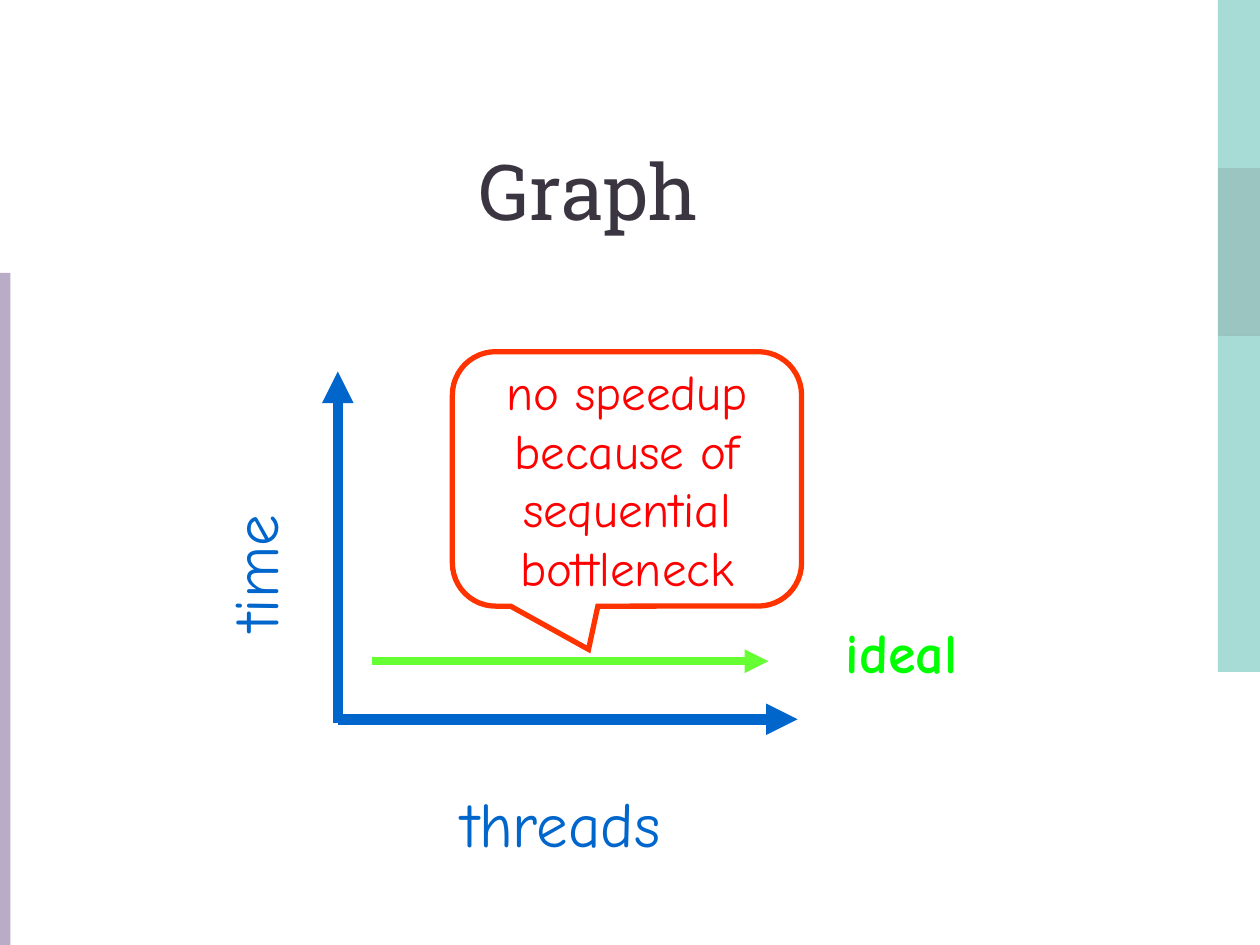
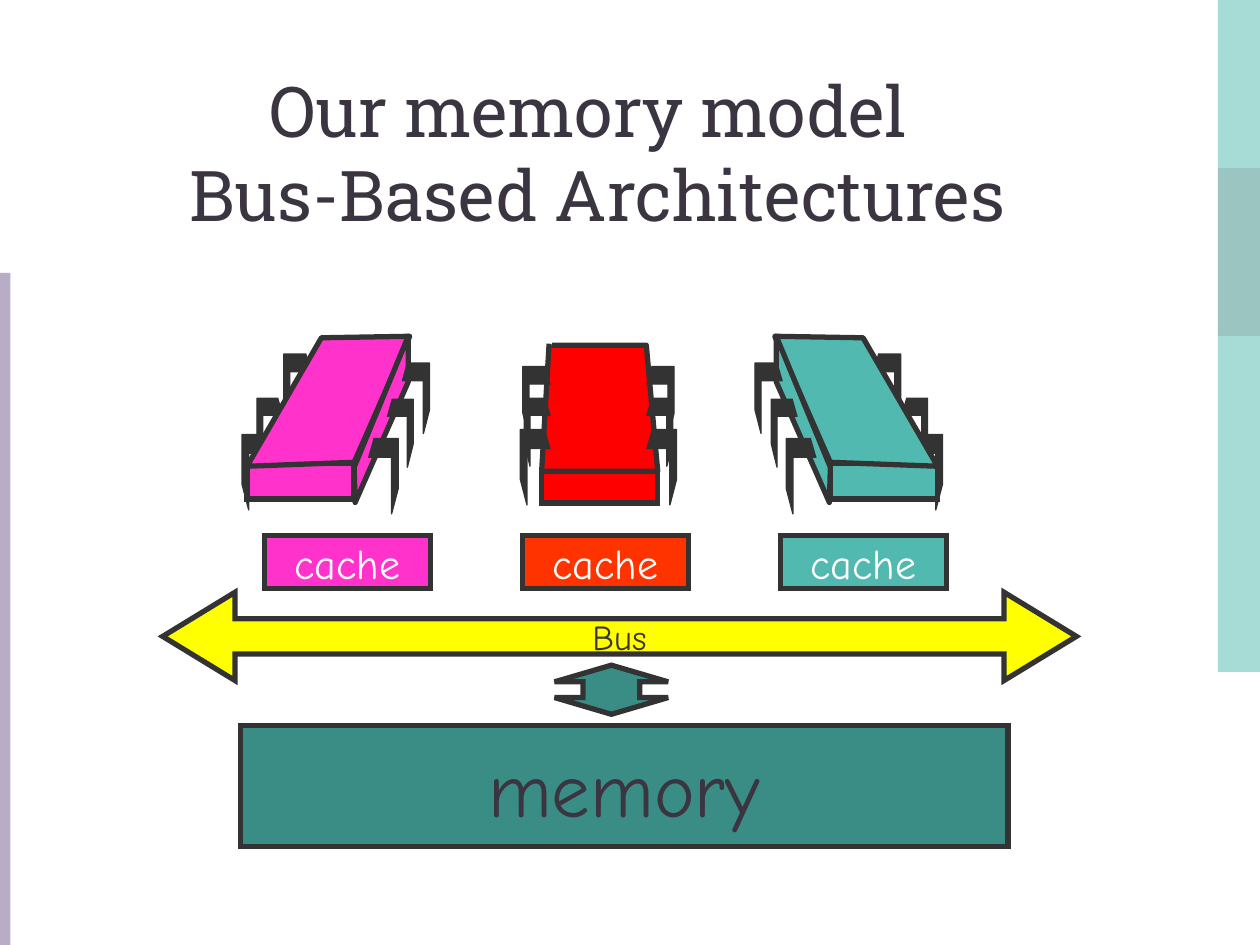
from lxml import etree
from pptx import Presentation
from pptx import util as u
from pptx.dml.color import RGBColor
from pptx.enum import shapes, text
from pptx.oxml.ns import qn

# Shared look
COLORS = {
    "ink": "3A3541", "outline": "333333", "white": "FFFFFF",
    "teal": "51B9AF", "deep teal": "398D85", "lilac": "B8ACC6",
    "blue": "0066CC", "green": "00FF00", "lime": "66FF33",
    "red": "FF0000", "orange": "FF3300", "pink": "FF33CC", "yellow": "FFFF00",
}
TITLE_FONT, BODY_FONT = "Roboto Slab", "Comic Neue"
PAGE_WIDTH, PAGE_HEIGHT = 25.4, 19.05
TITLE_BOX = (1.07, 1.7, 21.59, 3.18)
BANDS = ["teal", "deep teal", "teal", "teal"]
BAND_WIDTH, BAND_HEIGHT = 0.85, 10.16 / 3
STRIPE = (0, 5.5, 0.21, 13.55)
KIND = shapes.MSO_SHAPE

# Graph slide: arrows as (start, end, colour, line width), lengths in cm
GRAPH_ARROWS = [
    ((6.81, 14.58), (6.81, 7.49), "blue", 6),
    ((6.81, 14.5), (16.08, 14.5), "blue", 6),
    ((7.49, 13.33), (15.49, 13.33), "lime", 4.5),
]
GRAPH_LABELS = [
    ("ideal", (16.79, 12.32, 2.77, 1.63), dict(size=32, color="green", bold=True)),
    ("time", (3.81, 10.54, 2.59, 2.03), dict(size=36, color="blue", turn=270)),
    ("threads", (9.16, 15.56, 4.29, 2.03), dict(size=36, color="blue")),
]
CALLOUT_BOX = (9.12, 7.09, 7.04, 5.13)
CALLOUT_TEXT = "no speedup because of sequential bottleneck"

# Memory slide: one leg as fractions of its size, then the two chip models
LEG_OUTLINE = [(0.18, 0), (1, 0), (1, 0.66), (0.78, 1), (0.78, 0.25), (0, 0.25)]
LEG_SIZES = [(0.61, 1.52), (0.53, 1.37), (0.56, 1.42)]  # front, middle, back
SLANTED_CHIP = {
    "front": (4.98, 9.35, 2.16, 0.71),
    "left legs": [(4.88, 8.76), (5.18, 8.03), (5.72, 7.14)],
    "top": [(4.98, 9.4), (7.14, 9.32), (8.26, 6.78), (6.48, 6.81)],
    "side": [(8.23, 6.78), (8.23, 7.7), (7.16, 10.13), (7.14, 9.42)],
    "right legs": [(7.42, 8.84), (7.8, 8.05), (8.1, 7.32)],
}
STRAIGHT_CHIP = {
    "front": (10.92, 9.5, 2.34, 0.64),
    "open top": [(11.13, 6.96), (13.03, 6.96), (13.26, 9.5), (10.92, 9.5), (11.07, 6.93)],
    "right legs": [(13.03, 8.66), (13.03, 8.03), (13.03, 7.39)],
    "left legs": [(10.49, 8.66), (10.57, 8.03), (10.54, 7.39)],
}
MIRROR_SUM = 23.88  # x of a point plus x of its mirror image
CHIPS = [(STRAIGHT_CHIP, "red", False), (SLANTED_CHIP, "pink", False),
         (SLANTED_CHIP, "teal", True)]
CACHE_COLORS = ["pink", "orange", "teal"]
CACHE_LEFT, CACHE_STEP = 5.33, 5.2
MEMORY_PARTS = [
    (KIND.LEFT_RIGHT_ARROW, (3.28, 11.94, 18.42, 1.78), "yellow", (0.4, 0.82), "Bus", 20),
    (KIND.RECTANGLE, (4.85, 14.63, 15.47, 2.44), "deep teal", (), "memory", 44),
    (KIND.UP_DOWN_ARROW, (11.18, 13.41, 2.29, 0.99), "deep teal", (0.5, 0.34), "", 0),
]


def rgb(name):
    return RGBColor.from_string(COLORS[name])


def cm(values):
    return [u.Cm(value) for value in values]


def write(shape, words, size, color="ink", font=BODY_FONT, bold=False, wrap=False,
          anchor=text.MSO_ANCHOR.MIDDLE, side_margin=0.25):
    """Put centred text into a shape or a text box."""
    frame = shape.text_frame
    frame.word_wrap = wrap
    frame.vertical_anchor = anchor
    frame.margin_left = frame.margin_right = u.Cm(side_margin)
    para = frame.paragraphs[0]
    para.text = words
    para.alignment = text.PP_ALIGN.CENTER
    for span in para.runs:
        span.font.name, span.font.size, span.font.bold = font, u.Pt(size), bold
        span.font.color.rgb = rgb(color)


def paint(shape, fill=None, line=None, width=3.0, alpha=None, miter=False):
    shape.shadow.inherit = False
    if fill:
        shape.fill.solid()
        shape.fill.fore_color.rgb = rgb(fill)
        if alpha:
            tint = shape.fill._xPr.find(".//" + qn("a:srgbClr"))
            etree.SubElement(tint, qn("a:alpha"), val=str(alpha * 1000))
    else:
        shape.fill.background()
    if line:
        shape.line.color.rgb = rgb(line)
        shape.line.width = u.Pt(width)
        if miter:
            etree.SubElement(shape.line._get_or_add_ln(), qn("a:miter"), lim="800000")
    else:
        shape.line.fill.background()


def add_preset(page, kind, place, adjust=(), **look):
    shape = page.shapes.add_shape(kind, *cm(place))
    for index, value in enumerate(adjust):
        shape.adjustments[index] = value
    # The library names both guides of the up-down arrow adj1
    for number, guide in enumerate(shape._element.spPr.iter(qn("a:gd")), 1):
        guide.set("name", f"adj{number}")
    paint(shape, miter=True, **look)
    return shape


def add_outline(page, points, close=True, **look):
    start, *rest = [cm(point) for point in points]
    builder = page.shapes.build_freeform(*start)
    builder.add_line_segments(rest, close=close)
    paint(builder.convert_to_shape(), line="outline", **look)


def add_arrow(page, start, end, color, width):
    arrow = page.shapes.add_connector(shapes.MSO_CONNECTOR.STRAIGHT, *cm(start + end))
    arrow.line.color.rgb = rgb(color)
    arrow.line.width = u.Pt(width)
    etree.SubElement(arrow.line._get_or_add_ln(), qn("a:tailEnd"), type="triangle")
    etree.SubElement(arrow._element.spPr, qn("a:effectLst"))


def add_label(page, words, place, turn=0, **style):
    box = page.shapes.add_textbox(*cm(place))
    box.rotation = turn
    write(box, words, **style)


def add_page(deck, title, size):
    """Blank page with the side bands, the left stripe and the title."""
    page = deck.slides.add_slide(deck.slide_layouts[6])
    for row, color in enumerate(BANDS):
        place = (PAGE_WIDTH - BAND_WIDTH, row * BAND_HEIGHT, BAND_WIDTH, BAND_HEIGHT)
        add_preset(page, KIND.RECTANGLE, place, fill=color, alpha=50)
    add_preset(page, KIND.RECTANGLE, STRIPE, fill="lilac")
    add_label(page, title, TITLE_BOX, size=size, font=TITLE_FONT, wrap=True,
              anchor=text.MSO_ANCHOR.BOTTOM)
    return page


def add_chip(page, chip, color, mirrored):
    def place(points):
        return [(MIRROR_SUM - x if mirrored else x, y) for x, y in points]

    for part, data in chip.items():
        if part == "front":
            left, top, width, height = data
            if mirrored:
                left = MIRROR_SUM - left - width
            add_preset(page, KIND.RECTANGLE, (left, top, width, height),
                       fill=color, line="outline")
        elif part.endswith("legs"):
            for (left, top), (width, height) in zip(data, LEG_SIZES):
                leg = [(left + width * (1 - x if part == "left legs" else x),
                        top + height * y) for x, y in LEG_OUTLINE]
                add_outline(page, place(leg), close=False, fill="outline", width=0.75)
        else:
            add_outline(page, place(data), close=part != "open top", fill=color)


def build_graph(deck):
    page = add_page(deck, "Graph", 44)
    for arrow in GRAPH_ARROWS:
        add_arrow(page, *arrow)
    for words, place, style in GRAPH_LABELS:
        add_label(page, words, place, side_margin=0, **style)
    callout = add_preset(page, KIND.ROUNDED_RECTANGULAR_CALLOUT, CALLOUT_BOX,
                         (-0.11, 0.67, 0.17), line="orange")
    write(callout, CALLOUT_TEXT, size=28, color="red", wrap=True)


def build_memory(deck):
    page = add_page(deck, "Our memory model\v Bus-Based Architectures", 40)
    for chip in CHIPS:
        add_chip(page, *chip)
    for kind, place, color, adjust, words, size in MEMORY_PARTS:
        shape = add_preset(page, kind, place, adjust, fill=color, line="outline")
        if words:
            write(shape, words, size=size)
    for column, color in enumerate(CACHE_COLORS):
        place = (CACHE_LEFT + column * CACHE_STEP, 10.8, 3.35, 1.07)
        cache = add_preset(page, KIND.RECTANGLE, place, fill=color, line="outline")
        write(cache, "cache", size=24, color="white")


def main():
    deck = Presentation()
    deck.slide_width, deck.slide_height = cm((PAGE_WIDTH, PAGE_HEIGHT))
    build_graph(deck)
    build_memory(deck)
    deck.save("out.pptx")


if __name__ == "__main__":
    main()
